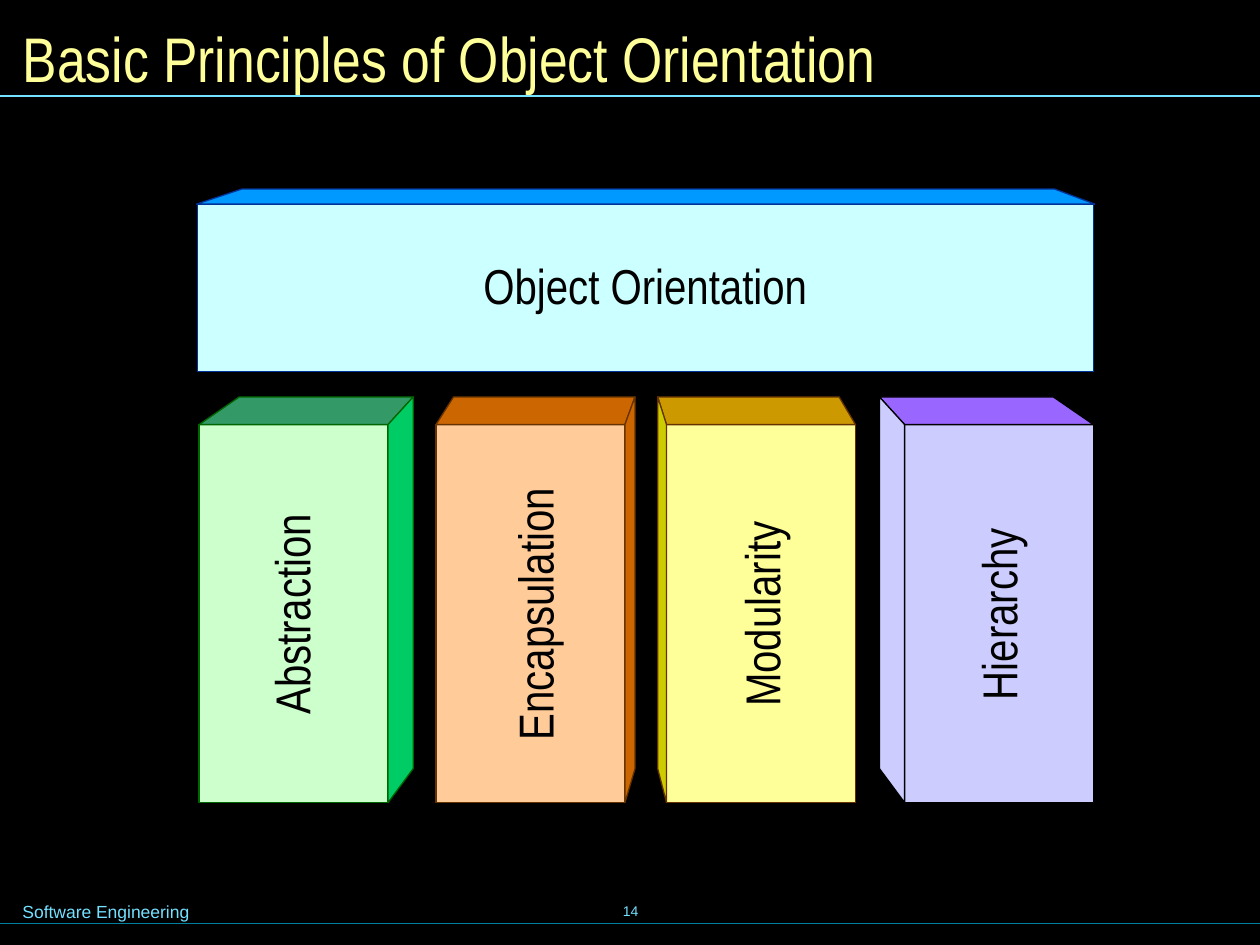
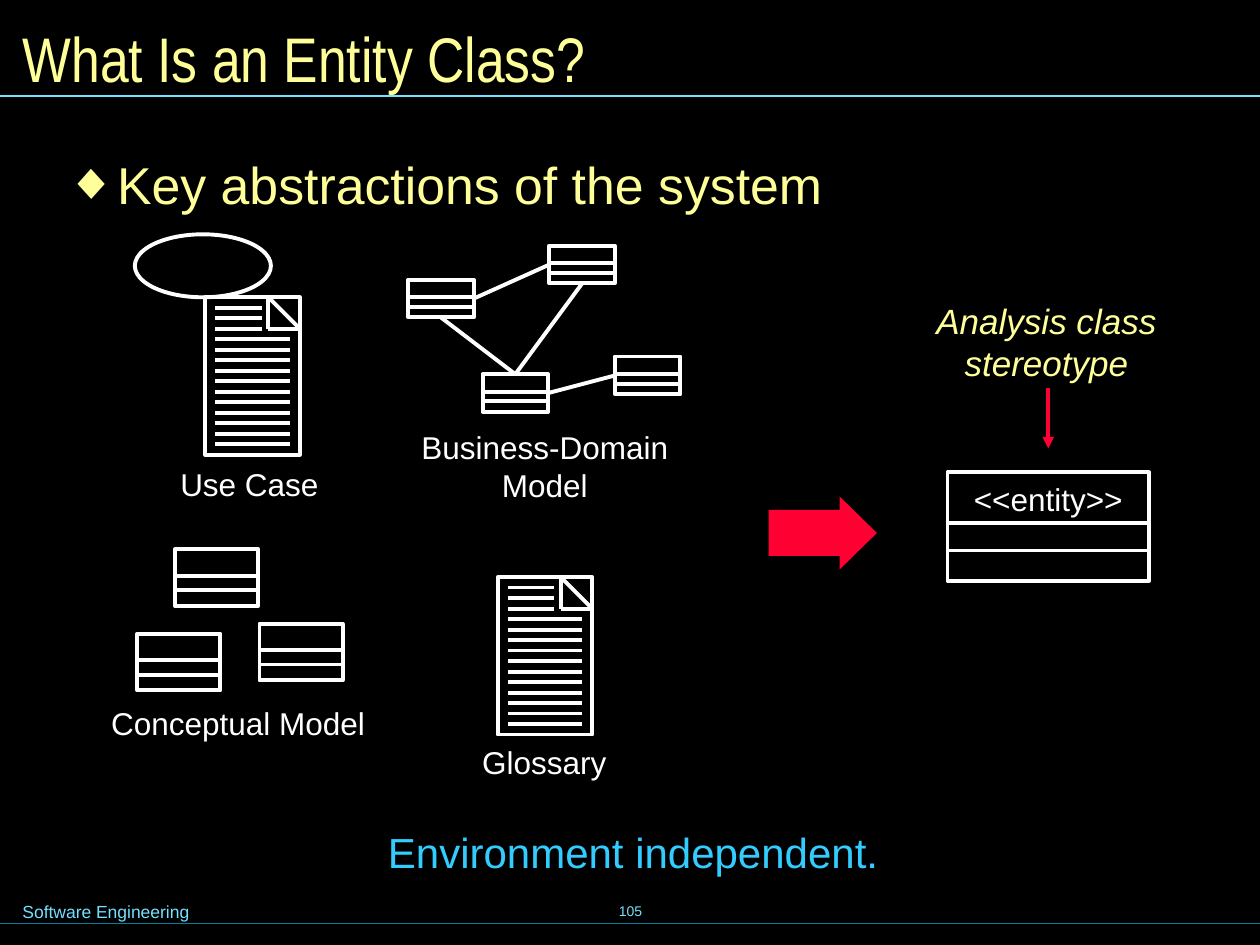
"""Build two software engineering slides: principles of object orientation and entity classes."""
from lxml import etree
from pptx import Presentation
from pptx import util as u
from pptx.dml.color import RGBColor
from pptx.enum import shapes, text
from pptx.oxml.ns import qn

rgb = RGBColor.from_string
BLACK, WHITE, YELLOW, CYAN, RED = "000000", "FFFFFF", "FFFF99", "73E1FF", "FF0033"
SANS, NARROW = "Arial", "Arial Narrow"
LEFT, CENTER = text.PP_ALIGN.LEFT, text.PP_ALIGN.CENTER
TOP, MIDDLE = text.MSO_ANCHOR.TOP, text.MSO_ANCHOR.MIDDLE
STRAIGHT = shapes.MSO_CONNECTOR.STRAIGHT
RECTANGLE = shapes.MSO_SHAPE.RECTANGLE


def write(box, words, color, size, name=SANS, align=CENTER, inset=0.1, wrap=True,
          anchor=TOP, italic=False):
    """Fill a text holder with one paragraph per line of words."""
    frame = box.text_frame
    side, edge = u.Inches(inset), u.Inches(inset / 2)
    frame_format = {"word_wrap": wrap, "auto_size": text.MSO_AUTO_SIZE.NONE,
                    "vertical_anchor": anchor, "margin_left": side, "margin_right": side,
                    "margin_top": edge, "margin_bottom": edge}
    for key, value in frame_format.items():
        setattr(frame, key, value)
    font_format = {"name": name, "size": u.Pt(size), "bold": False, "italic": italic}
    for index, line in enumerate(words.split("\n")):
        para = frame.add_paragraph() if index else frame.paragraphs[0]
        para.alignment = align
        span = para.add_run()
        span.text = line
        span.font.color.rgb = rgb(color)
        for key, value in font_format.items():
            setattr(span.font, key, value)


def paint(item, line, width, fill=None):
    """Give a shape or connector its line and fill, without a shadow."""
    item.line.color.rgb = rgb(line)
    item.line.width = u.Pt(width)
    if hasattr(item, "fill"):
        item.shadow.inherit = False
        if fill:
            item.fill.solid()
            item.fill.fore_color.rgb = rgb(fill)
        else:
            item.fill.background()
    else:
        etree.SubElement(item._element.spPr, qn("a:effectLst"))


deck = Presentation()
deck.slide_width, deck.slide_height = u.Inches(10), u.Inches(7.5)
background = deck.slide_master.background.fill
background.solid()
background.fore_color.rgb = rgb(BLACK)

pages = []
for title, number in [("Basic Principles of Object Orientation", "14"),
                      ("What Is an Entity Class?", "105")]:
    page = deck.slides.add_slide(deck.slide_layouts[5])
    pages.append(page)
    for y, color in [(7.33, "007E9F"), (0.76, CYAN)]:
        rule = page.shapes.add_connector(STRAIGHT, 0, u.Inches(y), u.Inches(10), u.Inches(y))
        paint(rule, color, 1)
    holder = page.shapes.title
    holder.left, holder.top = u.Inches(0.08), u.Inches(0.08)
    holder.width, holder.height = u.Inches(9.84), u.Inches(0.75)
    write(holder, title, YELLOW, 36, NARROW, LEFT, anchor=MIDDLE)
    footer = page.shapes.add_textbox(*map(u.Inches, (0.08, 7.1, 2.95, 0.27)))
    write(footer, "Software Engineering", CYAN, 10, align=LEFT)
    page_number = page.shapes.add_textbox(*map(u.Inches, (3.42, 6.98, 3.17, 0.5)))
    write(page_number, number, CYAN, 8, wrap=False, anchor=MIDDLE)

principles, entity = pages

back, top, foot, back_foot = 3.15, 3.37, 6.37, 6.1
fronts = [((1.57, 1.62, 7.11, 1.33), "CCFFFF", "003399")]
faces = [([(8.69, 1.62), (8.37, 1.5), (1.92, 1.5), (1.56, 1.62)], "0099FF", "003399")]
labels = [("Object Orientation", 5.12, 2.27, 7.08, 0)]
pillars = [
    ("Abstraction", 1.58, 1.9, 3.28, 3.08, 2.31, "CCFFCC", "339966", "00CC66", "006600"),
    ("Encapsulation", 3.46, 3.6, 5.04, 4.96, 4.24, "FFCC99", "CC6600", "CC6600", "663300"),
    ("Modularity", 6.79, 6.66, 5.22, 5.29, 6.04, "FFFF99", "CC9900", "CCCC00", "663300"),
    ("Hierarchy", 8.68, 8.36, 6.98, 7.18, 7.92, "CCCCFF", "9966FF", "CCCCFF", "000000"),
]
for name, far, far_back, outer, near, middle, front_fill, top_fill, side_fill, line in pillars:
    fronts.append(((min(near, far), top, 1.5, foot - top), front_fill, line))
    faces.append(([(far, top), (far_back, back), (outer, back), (near, top)], top_fill, line))
    faces.append(([(outer, back), (near, top), (near, foot), (outer, back_foot)],
                  side_fill, line))
    labels.append((name, middle, 4.88, 2.97, 270))

for place, fill, line in fronts:
    paint(principles.shapes.add_shape(RECTANGLE, *map(u.Inches, place)), line, 0.75, fill)
for corners, fill, line in faces:
    points = [(u.Inches(x), u.Inches(y)) for x, y in corners]
    outline = principles.shapes.build_freeform(*points[0])
    outline.add_line_segments(points[1:], close=True)
    paint(outline.convert_to_shape(), line, 0.75, fill)
for name, x, y, width, turn in labels:
    box = principles.shapes.add_textbox(*map(u.Inches, (x - width / 2, y - 0.3, width, 0.59)))
    box.rotation = turn
    write(box, name, BLACK, 28, NARROW, inset=0.12)

strokes = []
for x, y in [(1.63, 2.36), (3.95, 4.58)]:
    sheet = entity.shapes.add_shape(RECTANGLE, *map(u.Inches, (x, y, 0.75, 1.25)))
    paint(sheet, WHITE, 2.25)
    fold, fold_foot, edge = x + 0.5, y + 0.25, x + 0.75
    strokes += [(fold, y, edge, fold_foot), (fold, y, fold, fold_foot),
                (edge, fold_foot, fold, fold_foot)]
    for row in range(1, 15):
        row_y = y + row / 12
        strokes.append((x + 0.08, row_y, x + (0.45 if row < 4 else 0.67), row_y))

class_boxes = []
small, medium, large = (0.52, 0.3), (0.66, 0.45), (1.6, 0.86)
for x, y, (width, height) in [
        (3.24, 2.22, small), (4.36, 1.95, small), (3.83, 2.97, small), (4.88, 2.83, small),
        (1.39, 4.36, medium), (2.06, 4.95, medium), (1.09, 5.03, medium),
        (7.52, 3.75, large)]:
    class_box = entity.shapes.add_shape(RECTANGLE, *map(u.Inches, (x, y, width, height)))
    paint(class_box, WHITE, 2.25)
    class_boxes.append(class_box)
    for share in (0.47, 0.72):
        strokes.append((x, y + height * share, x + width, y + height * share))

for stroke in strokes:
    paint(entity.shapes.add_connector(STRAIGHT, *map(u.Inches, stroke)), WHITE, 2.25)

for start, start_side, end, end_side in [(2, 0, 0, 2), (0, 3, 1, 1), (2, 3, 3, 1), (2, 0, 1, 2)]:
    link = entity.shapes.add_connector(STRAIGHT, 0, 0, 0, 0)
    link.begin_connect(class_boxes[start], start_side)
    link.end_connect(class_boxes[end], end_side)
    paint(link, WHITE, 2.25)

use_case = entity.shapes.add_shape(shapes.MSO_SHAPE.OVAL, *map(u.Inches, (1.07, 1.86, 1.08, 0.5)))
paint(use_case, WHITE, 2.25)

block_arrow = entity.shapes.add_shape(shapes.MSO_SHAPE.RIGHT_ARROW,
                                      *map(u.Inches, (6.1, 3.94, 0.86, 0.58)))
paint(block_arrow, RED, 0.75, RED)
block_arrow.line.fill.background()
block_arrow.adjustments[0], block_arrow.adjustments[1] = 0.63, 0.51

pointer = entity.shapes.add_connector(STRAIGHT, *map(u.Inches, (8.32, 3.08, 8.32, 3.56)))
paint(pointer, RED, 2.25)
etree.SubElement(pointer._element.spPr.find(qn("a:ln")), qn("a:tailEnd"), type="triangle")

for words, place, color, size, options in [
        ("Use Case", (1.26, 3.64, 1.44, 0.4), WHITE, 18, {}),
        ("Business-Domain\nModel", (3.21, 3.35, 2.23, 0.7), WHITE, 18, {"wrap": False}),
        ("Conceptual Model", (0.54, 5.53, 2.7, 0.42), WHITE, 18, {"inset": 0.12}),
        ("Glossary", (3.73, 5.85, 1.18, 0.4), WHITE, 18, {"wrap": False}),
        ("<<entity>>", (7.73, 3.81, 1.18, 0.3), WHITE, 18, {"inset": 0, "wrap": False}),
        ("Analysis class stereotype", (7.31, 2.32, 1.99, 0.79), YELLOW, 20,
         {"inset": 0.12, "italic": True}),
        ("Environment independent.", (2.96, 6.51, 4.13, 0.5), "33CCFF", 24, {})]:
    write(entity.shapes.add_textbox(*map(u.Inches, place)), words, color, size, **options)

key_point = entity.shapes.add_textbox(*map(u.Inches, (0.4, 1.15, 9.29, 0.63)))
properties = key_point.text_frame.paragraphs[0]._p.get_or_add_pPr()
properties.set("marL", str(u.Inches(0.37)))
properties.set("indent", str(-u.Inches(0.37)))
bullet_color = etree.SubElement(properties, qn("a:buClr"))
etree.SubElement(bullet_color, qn("a:srgbClr"), val=YELLOW)
etree.SubElement(properties, qn("a:buFont"), typeface=SANS)
etree.SubElement(properties, qn("a:buChar"), char="◆")
write(key_point, "Key abstractions of the system", YELLOW, 29.6, align=LEFT, inset=0.12)

deck.save("out.pptx")
